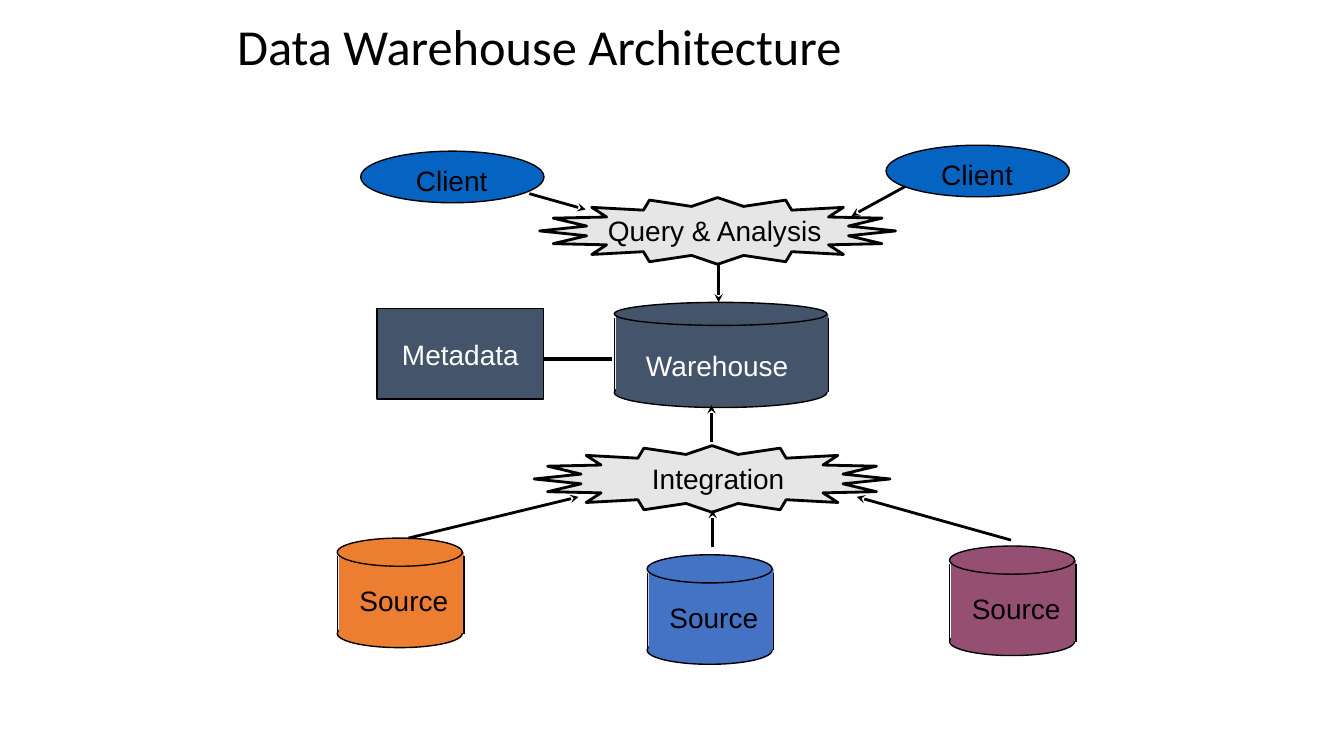
from lxml.etree import SubElement
from pptx import Presentation
from pptx.dml.color import RGBColor
from pptx.enum.shapes import MSO_CONNECTOR, MSO_SHAPE
from pptx.enum.text import MSO_ANCHOR, PP_ALIGN
from pptx.oxml.ns import qn
from pptx.util import Cm, Pt

BLACK = RGBColor(0x00, 0x00, 0x00)
WHITE = RGBColor(0xFF, 0xFF, 0xFF)
CLIENT_BLUE = RGBColor(0x05, 0x63, 0xC1)
SLATE = RGBColor(0x44, 0x54, 0x6A)
BURST_GREY = RGBColor(0xE7, 0xE6, 0xE6)
ORANGE = RGBColor(0xED, 0x7D, 0x31)
SOURCE_BLUE = RGBColor(0x44, 0x72, 0xC4)
PLUM = RGBColor(0x95, 0x4F, 0x72)

LABEL_HEIGHT = 1.11
SIDE_OFFSET = 0.04
SOURCES = [(8.5, 13.56, ORANGE), (16.31, 13.98, SOURCE_BLUE), (23.93, 13.76, PLUM)]
ARROWS = [
    ((13.34, 4.88), (14.76, 5.28)),
    ((22.81, 4.7), (21.46, 5.44)),
    ((10.29, 13.56), (14.58, 12.52)),
    ((25.48, 13.61), (21.59, 12.52)),
    ((17.93, 11.13), (17.93, 10.21)),
    ((18.11, 6.68), (18.11, 7.62)),
    ((17.96, 13.79), (17.96, 12.85)),
]


def write_text(frame, text, font="Arial", size=20, color=BLACK, spacing=1.0):
    """Write one formatted, left-aligned line into a text frame."""
    frame.text = text
    paragraph = frame.paragraphs[0]
    paragraph.alignment = PP_ALIGN.LEFT
    paragraph.line_spacing = spacing
    paragraph.font.name = font
    paragraph.font.size = Pt(size)
    paragraph.font.color.rgb = color


def add_label(shapes, text, left, top, width, **text_format):
    """Add a single-line label box."""
    label = shapes.add_textbox(Cm(left), Cm(top), Cm(width), Cm(LABEL_HEIGHT))
    label.text_frame.word_wrap = False
    write_text(label.text_frame, text, **text_format)


def add_figure(shapes, kind, left, top, width, height, fill, line_width=1):
    """Add a filled preset shape, without an outline if line_width is 0."""
    shape = shapes.add_shape(kind, Cm(left), Cm(top), Cm(width), Cm(height))
    shape.shadow.inherit = False
    shape.fill.solid()
    shape.fill.fore_color.rgb = fill
    if line_width:
        shape.line.color.rgb = BLACK
        shape.line.width = Pt(line_width)
    else:
        shape.line.fill.background()


def add_line(shapes, start, end, width=1, arrow=False):
    """Add a straight black line, with a stealth arrowhead on request."""
    points = [Cm(value) for value in (*start, *end)]
    connector = shapes.add_connector(MSO_CONNECTOR.STRAIGHT, *points)
    connector.line.color.rgb = BLACK
    connector.line.width = Pt(width)
    properties = connector._element.spPr
    if arrow:
        SubElement(properties.find(qn("a:ln")), qn("a:tailEnd"), type="stealth")
    SubElement(properties, qn("a:effectLst"))


def add_client(slide, left, top):
    """Add a client ellipse with its label."""
    shapes = slide.shapes.add_group_shape().shapes
    add_figure(shapes, MSO_SHAPE.OVAL, left, top, 4.62, 1.3, CLIENT_BLUE)
    add_label(shapes, "Client", left + 1.14, top + 0.18, 2.34)


def add_burst(slide, text, left, top, label_left, label_width):
    """Add a sixteen-point star with a label offset from its left edge."""
    shapes = slide.shapes.add_group_shape().shapes
    add_figure(shapes, MSO_SHAPE.STAR_16_POINT, left, top, 8.97, 1.68, BURST_GREY, 2)
    add_label(shapes, text, left + label_left, top + 0.28, label_width)


def add_store(slide, text, left, top, width, height, caps, fill, label, color=BLACK):
    """Add a cylinder from two caps, a body and two sides, with its label."""
    shapes = slide.shapes.add_group_shape().shapes
    top_cap, bottom_cap = caps
    body_top = top + top_cap / 2
    body_bottom = top + height - bottom_cap / 2
    add_figure(shapes, MSO_SHAPE.OVAL, left, top + height - bottom_cap, width, bottom_cap, fill)
    add_figure(shapes, MSO_SHAPE.RECTANGLE, left + SIDE_OFFSET, body_top,
               width, body_bottom - body_top, fill, 0)
    add_figure(shapes, MSO_SHAPE.OVAL, left, top, width, top_cap, fill)
    for side in (left, left + width + SIDE_OFFSET):
        add_line(shapes, (side, body_top + 0.1), (side, body_bottom))
    label_left, label_top, label_width = label
    add_label(shapes, text, left + label_left, top + label_top, label_width, color=color)


def add_metadata(slide, left, top):
    """Add the metadata box and its link to the warehouse."""
    add_figure(slide.shapes, MSO_SHAPE.RECTANGLE, left, top, 4.2, 2.29, SLATE)
    add_label(slide.shapes, "Metadata", left + 0.38, top + 0.61, 3.48, color=WHITE)
    add_line(slide.shapes, (left + 4.2, top + 1.27), (left + 5.92, top + 1.27), 3)


def add_title(slide, text, left, top, width, height):
    """Place and format the title placeholder."""
    title = slide.shapes.title
    title.left, title.top, title.width, title.height = map(Cm, (left, top, width, height))
    title.text_frame.vertical_anchor = MSO_ANCHOR.MIDDLE
    write_text(title.text_frame, text, font="Calibri", size=36, spacing=0.9)


def main():
    """Build the data warehouse slide."""
    presentation = Presentation()
    presentation.slide_width = Cm(33.87)
    presentation.slide_height = Cm(19.05)
    slide = presentation.slides.add_slide(presentation.slide_layouts[5])
    add_title(slide, "Data Warehouse Architecture", 5.72, 0.5, 22.23, 1.47)
    add_client(slide, 9.09, 3.81)
    add_client(slide, 22.33, 3.66)
    add_store(slide, "Warehouse", 15.48, 7.62, 5.36, 2.65, (0.58, 0.76), SLATE,
              (0.55, 1.04, 4.22), WHITE)
    for left, top, fill in SOURCES:
        add_store(slide, "Source", left, top, 3.15, 2.76, (0.71, 0.71), fill,
                  (0.31, 1.03, 2.77))
    add_burst(slide, "Query & Analysis", 13.6, 4.98, 1.47, 6.05)
    add_burst(slide, "Integration", 13.46, 11.23, 2.72, 3.89)
    for start, end in ARROWS:
        add_line(slide.shapes, start, end, 2, arrow=True)
    add_metadata(slide, 9.5, 7.77)
    presentation.save("out.pptx")


if __name__ == "__main__":
    main()
